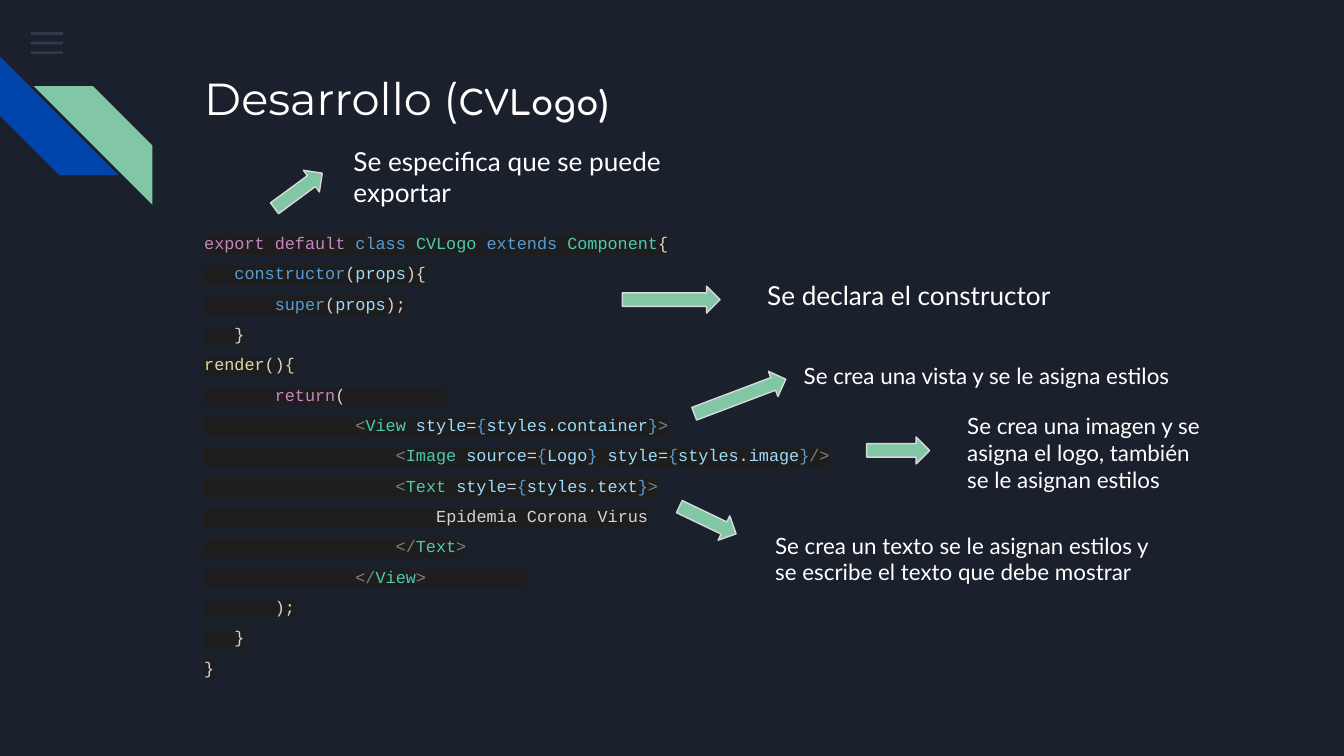
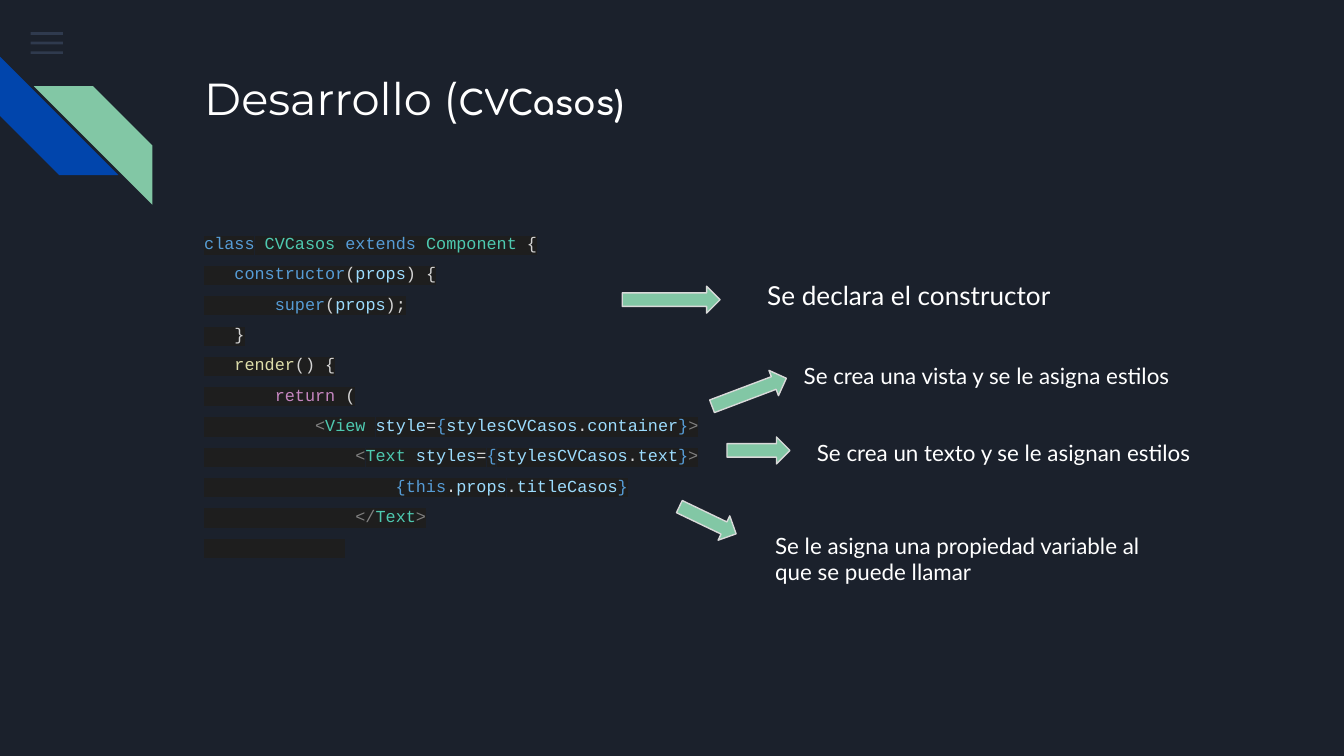
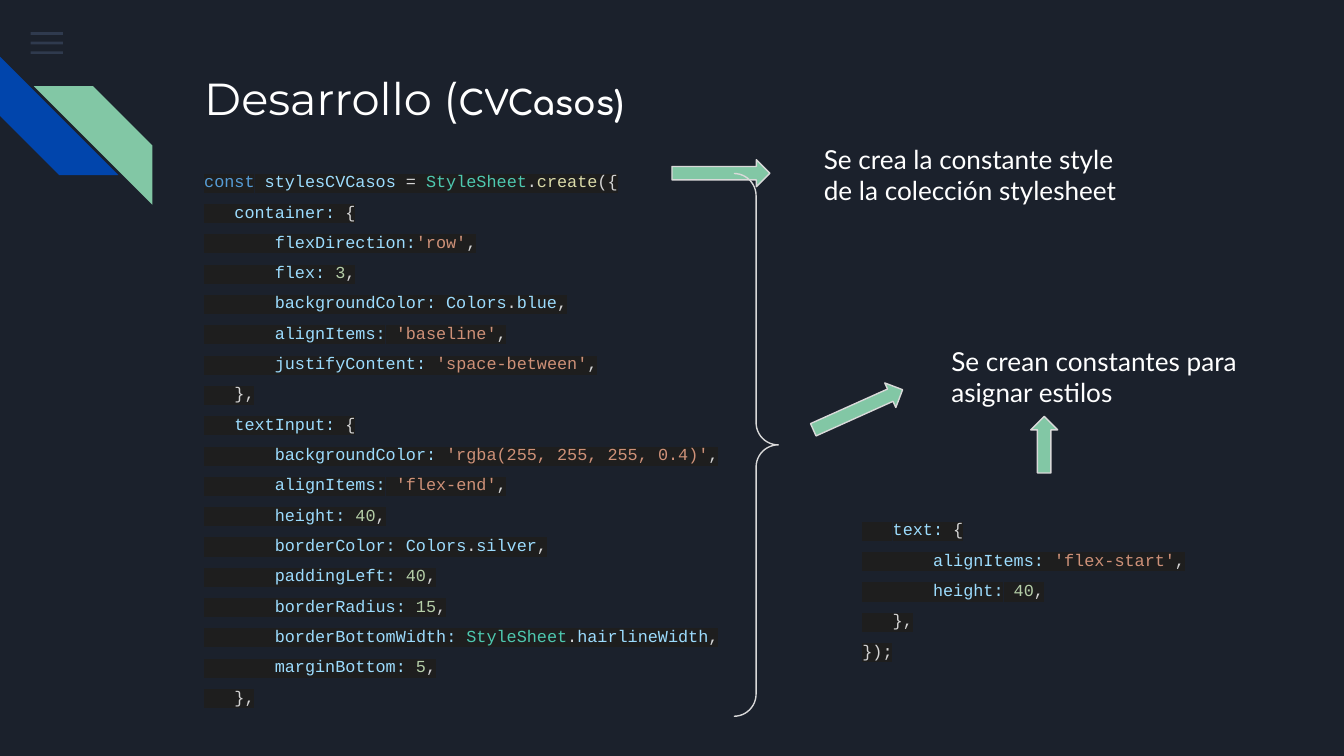
from dataclasses import dataclass
from itertools import groupby

from lxml import etree
from pptx import Presentation
from pptx import util as u
from pptx.dml.color import RGBColor
from pptx.enum import shapes, text
from pptx.oxml import ns


@dataclass(frozen=True)
class Theme:
    background: str = "1B212C"
    blue: str = "0145AC"
    green: str = "82C7A5"
    menu: str = "55688B"
    white: str = "FFFFFF"
    outline: str = "D9D9D9"
    code_band: str = "1E1E1E"
    plain: str = "D4D4D4"
    control: str = "C586C0"
    keyword: str = "569CD6"
    type_name: str = "4EC9B0"
    function: str = "DCDCAA"
    variable: str = "9CDCFE"
    tag: str = "808080"
    literal: str = "CE9178"
    number: str = "B5CEA8"
    title_size: int = 24
    component_size: int = 18
    note_size: int = 14
    small_note_size: int = 12
    code_size: int = 9


THEME = Theme()
WORD_GROUPS = {
    THEME.control: "export default return",
    THEME.keyword: "class extends constructor super const this",
    THEME.type_name: "CVLogo CVCasos Component View Image Text StyleSheet",
    THEME.function: "render create",
    THEME.plain: "Epidemia Corona Virus",
}
WORD_COLORS = {word: color for color, words in WORD_GROUPS.items() for word in words.split()}


@dataclass(frozen=True)
class Box:
    left: float
    top: float
    width: float
    height: float

    def lengths(self) -> tuple:
        return tuple(u.Cm(value) for value in (self.left, self.top, self.width, self.height))


@dataclass(frozen=True)
class Arrow:
    left: float
    top: float
    length: float
    rotation: float = 0


@dataclass(frozen=True)
class Note:
    box: Box
    words: str
    size: int = THEME.note_size


@dataclass(frozen=True)
class Code:
    box: Box
    lines: tuple


@dataclass(frozen=True)
class Page:
    component: str
    codes: tuple
    arrows: tuple
    notes: tuple
    braces: tuple = ()


CODE_BOX = Box(3.61, 3.96, 14.63, 9.68)
CONSTRUCTOR_ARROW = Arrow(11.76, 5.41, 1.85)
TEXT_ARROW = Arrow(12.78, 9.58, 1.19, 25.6)
CONSTRUCTOR_NOTE = Note(Box(14.25, 5.03, 6.58, 1.65), "Se declara el constructor")
VIEW_NOTE = Note(Box(14.94, 6.6, 7.7, 1.07), "Se crea una vista y se le asigna estilos", THEME.small_note_size)
TEXT_NOTE_BOX = Box(14.4, 9.8, 7.7, 1.65)

LOGO_CODE = (
    "export default class CVLogo extends Component{",
    "   constructor(props){",
    "       super(props);",
    "   }",
    "render(){",
    "       return(          ",
    "               <View style={styles.container}>",
    "                   <Image source={Logo} style={styles.image}/>",
    "                   <Text style={styles.text}>",
    "                       Epidemia Corona Virus",
    "                   </Text>",
    "               </View>          ",
    "       );",
    "   }",
    "}",
)
CASES_CODE = (
    "class CVCasos extends Component {",
    "   constructor(props) {",
    "       super(props);",
    "   }",
    "   render() {",
    "       return (",
    "           <View style={stylesCVCasos.container}>",
    "               <Text styles={stylesCVCasos.text}>",
    "                   {this.props.titleCasos}",
    "               </Text>",
    "              ",
)
STYLES_CODE = (
    "const stylesCVCasos = StyleSheet.create({",
    "   container: {",
    "       flexDirection:'row',",
    "       flex: 3,",
    "       backgroundColor: Colors.blue,",
    "       alignItems: 'baseline',",
    "       justifyContent: 'space-between',",
    "   },",
    "   textInput: {",
    "       backgroundColor: 'rgba(255, 255, 255, 0.4)',",
    "       alignItems: 'flex-end',",
    "       height: 40,",
    "       borderColor: Colors.silver,",
    "       paddingLeft: 40,",
    "       borderRadius: 15,",
    "       borderBottomWidth: StyleSheet.hairlineWidth,",
    "       marginBottom: 5,",
    "   },",
)
TEXT_STYLE_CODE = (
    "   text: {",
    "       alignItems: 'flex-start',",
    "       height: 40,",
    "   },",
    "});",
)

PAGES = (
    Page(
        "CVLogo)",
        (Code(CODE_BOX, LOGO_CODE),),
        (
            CONSTRUCTOR_ARROW,
            Arrow(5.08, 3.35, 1.12, 323.6),
            Arrow(13.06, 7.24, 1.85, 339.3),
            Arrow(16.38, 8.26, 1.19),
            TEXT_ARROW,
        ),
        (
            Note(Box(6.43, 2.49, 6.58, 1.65), "Se especifica que se puede exportar"),
            CONSTRUCTOR_NOTE,
            VIEW_NOTE,
            Note(
                Box(18.03, 7.54, 5.13, 1.9),
                "Se crea una imagen y se asigna el logo, también se le asignan estilos",
                THEME.small_note_size,
            ),
            Note(
                TEXT_NOTE_BOX,
                "Se crea un texto se le asignan estilos y se escribe el texto que debe mostrar",
                THEME.small_note_size,
            ),
        ),
    ),
    Page(
        "CVCasos)",
        (Code(CODE_BOX, CASES_CODE),),
        (CONSTRUCTOR_ARROW, Arrow(13.41, 7.16, 1.5, 339.3), Arrow(13.74, 8.26, 1.19), TEXT_ARROW),
        (
            CONSTRUCTOR_NOTE,
            VIEW_NOTE,
            Note(Box(15.19, 8.05, 7.7, 0.99), "Se crea un texto y se le asignan estilos", THEME.small_note_size),
            Note(
                TEXT_NOTE_BOX,
                "Se le asigna una propiedad variable al que se puede llamar",
                THEME.small_note_size,
            ),
        ),
    ),
    Page(
        "CVCasos)",
        (
            Code(Box(3.61, 2.79, 10.57, 10.77), STYLES_CODE),
            Code(Box(16.05, 9.37, 7.42, 3.73), TEXT_STYLE_CODE),
        ),
        (Arrow(15.29, 7.49, 1.85, 335.8), Arrow(12.7, 3.02, 1.85), Arrow(19.2, 8.15, 1.07, 270)),
        (
            Note(Box(15.32, 2.46, 6.58, 1.65), "Se crea la constante style de la colección stylesheet"),
            Note(Box(17.73, 6.27, 6.58, 1.65), "Se crean constantes para asignar estilos"),
        ),
        (Box(13.87, 3.28, 0.84, 10.26),),
    ),
)


def apply_format(target, values: dict) -> None:
    for name, value in values.items():
        setattr(target, name, value)


def format_frame(frame) -> None:
    margins = {f"margin_{side}": u.Cm(0.25) for side in ("left", "top", "right", "bottom")}
    apply_format(frame, margins | {
        "word_wrap": True,
        "auto_size": text.MSO_AUTO_SIZE.NONE,
        "vertical_anchor": text.MSO_ANCHOR.TOP,
    })


def add_run(paragraph, words: str, font_name: str, size: int, color: str, bold: bool = False):
    run = paragraph.add_run()
    run.text = words
    apply_format(run.font, {"name": font_name, "size": u.Pt(size), "bold": bold})
    run.font.color.rgb = RGBColor.from_string(color)
    return run


def add_text_frame(slide, box: Box):
    frame = slide.shapes.add_textbox(*box.lengths()).text_frame
    format_frame(frame)
    return frame


def add_shape(slide, kind, box: Box, fill: str = "", outline: str = "", rotation: float = 0):
    shape = slide.shapes.add_shape(kind, *box.lengths())
    shape.shadow.inherit = False
    shape.rotation = rotation
    if fill:
        shape.fill.solid()
        shape.fill.fore_color.rgb = RGBColor.from_string(fill)
    else:
        shape.fill.background()
    if outline:
        shape.line.color.rgb = RGBColor.from_string(outline)
        shape.line.width = u.Pt(0.75)
    else:
        shape.line.fill.background()
    for index in range(len(shape.adjustments)):
        shape.adjustments[index] = 0.5
    return shape


def add_decoration(slide) -> None:
    for row in range(3):
        bar = add_shape(slide, shapes.MSO_SHAPE.RECTANGLE, Box(0.58, 0.61 + 0.18 * row, 0.61, 0.05), THEME.menu)
        color = bar.fill._xPr.find(".//" + ns.qn("a:srgbClr"))
        etree.SubElement(color, ns.qn("a:alpha"), val="36000")
    stripe = shapes.MSO_SHAPE.DIAGONAL_STRIPE
    add_shape(slide, stripe, Box(0, 1.07, 2.24, 2.24), THEME.blue, rotation=270)
    green = add_shape(slide, stripe, Box(0.64, 1.63, 2.24, 2.24), THEME.green)
    green._element.spPr.find(ns.qn("a:xfrm")).set("flipH", "1")


def add_title(slide, component: str) -> None:
    title = slide.shapes.title
    box = Box(3.61, 1.09, 19.56, 2.54)
    apply_format(title, dict(zip(("left", "top", "width", "height"), box.lengths())))
    format_frame(title.text_frame)
    paragraph = title.text_frame.paragraphs[0]
    paragraph.alignment = text.PP_ALIGN.LEFT
    add_run(paragraph, "Desarrollo (", "Montserrat", THEME.title_size, THEME.white)
    add_run(paragraph, component, "Comfortaa", THEME.component_size, THEME.white, True)


def character_kind(character: str) -> str:
    if character.isalnum() or character == ":":
        return "word"
    if character in "<>/":
        return "tag"
    return "brace" if character in "{}" else "plain"


def color_tokens(line: str):
    brace_color = THEME.keyword if "{" in line and "}" in line else THEME.plain
    kind_colors = {"tag": THEME.tag, "brace": brace_color, "plain": THEME.plain}
    for index, part in enumerate(line.split("'")):
        if index % 2:
            yield f"'{part}'", THEME.literal
            continue
        for kind, characters in groupby(part, character_kind):
            token = "".join(characters)
            word_color = THEME.number if token.isdigit() else WORD_COLORS.get(token, THEME.variable)
            yield token, kind_colors.get(kind, word_color)


def add_code(slide, code: Code) -> None:
    frame = add_text_frame(slide, code.box)
    for index, line in enumerate(code.lines):
        paragraph = frame.add_paragraph() if index else frame.paragraphs[0]
        paragraph.line_spacing = 1.5
        for color, tokens in groupby(color_tokens(line), lambda token: token[1]):
            words = "".join(token for token, _ in tokens)
            run = add_run(paragraph, words, "Courier New", THEME.code_size, color)
            highlight = etree.Element(ns.qn("a:highlight"))
            etree.SubElement(highlight, ns.qn("a:srgbClr"), val=THEME.code_band)
            run._r.rPr.find(ns.qn("a:latin")).addprevious(highlight)


def add_note(slide, note: Note) -> None:
    paragraph = add_text_frame(slide, note.box).paragraphs[0]
    add_run(paragraph, note.words, "Lato", note.size, THEME.white)


def add_arrow(slide, arrow: Arrow) -> None:
    box = Box(arrow.left, arrow.top, arrow.length, 0.51)
    add_shape(slide, shapes.MSO_SHAPE.RIGHT_ARROW, box, THEME.green, THEME.outline, arrow.rotation)


def add_brace(slide, box: Box) -> None:
    add_shape(slide, shapes.MSO_SHAPE.RIGHT_BRACE, box, outline=THEME.outline)


def add_page(presentation, page: Page) -> None:
    slide = presentation.slides.add_slide(presentation.slide_layouts[5])
    add_decoration(slide)
    add_title(slide, page.component)
    for draw, items in (
        (add_code, page.codes),
        (add_arrow, page.arrows),
        (add_brace, page.braces),
        (add_note, page.notes),
    ):
        for item in items:
            draw(slide, item)


def main() -> None:
    presentation = Presentation()
    apply_format(presentation, {"slide_width": u.Cm(25.4), "slide_height": u.Cm(14.29)})
    background = presentation.slide_master.background.fill
    background.solid()
    background.fore_color.rgb = RGBColor.from_string(THEME.background)
    for page in PAGES:
        add_page(presentation, page)
    presentation.save("out.pptx")


if __name__ == "__main__":
    main()
